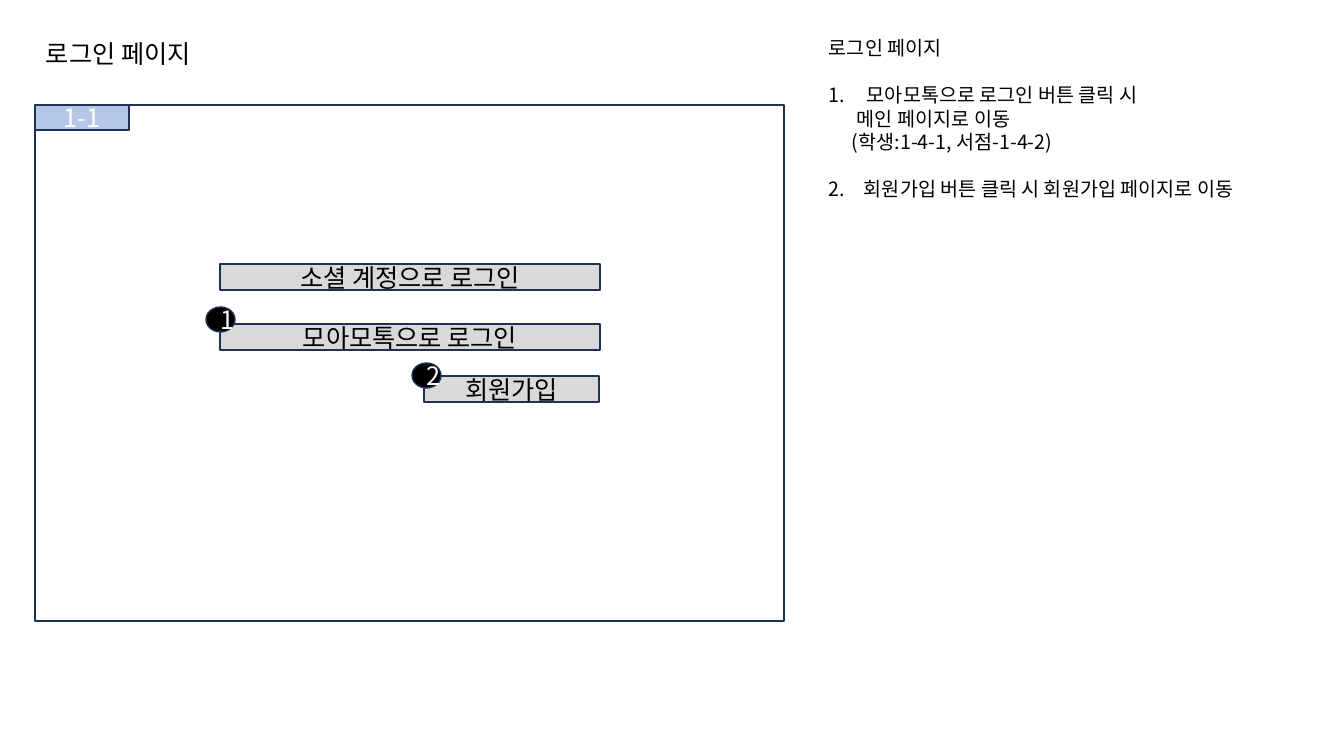
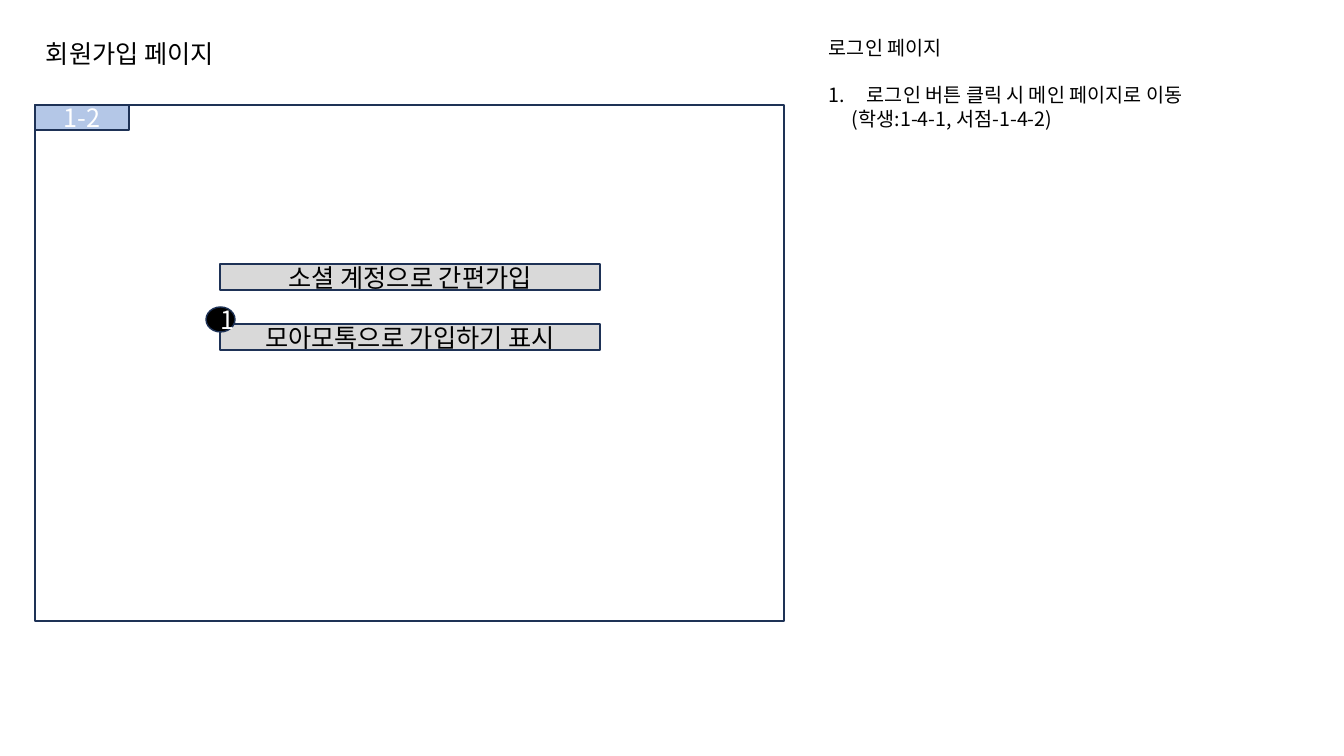
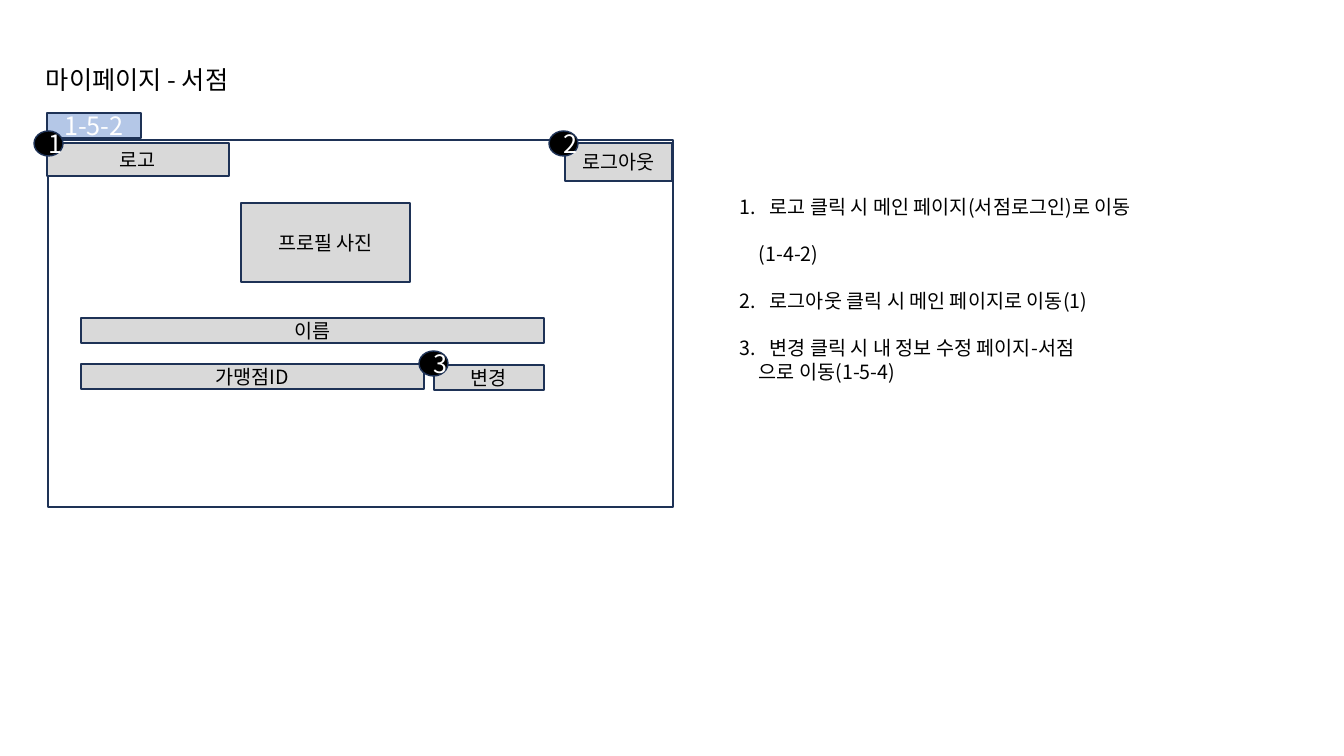
from dataclasses import dataclass

from lxml import etree
from pptx import Presentation
from pptx.dml.color import RGBColor
from pptx.enum.shapes import MSO_SHAPE
from pptx.enum.text import MSO_ANCHOR, PP_ALIGN
from pptx.oxml.ns import qn
from pptx.slide import Slide
from pptx.text.text import _Paragraph
from pptx.util import Emu, Pt

EMU_PER_PIXEL = 914400 / 100.8


@dataclass(frozen=True)
class Theme:
    font: str = "Noto Sans CJK KR"
    text: str = "000000"
    light_text: str = "FFFFFF"
    panel: str = "FFFFFF"
    tag: str = "B4C7E7"
    button: str = "D9D9D9"
    badge: str = "000000"
    outline: str = "1E3256"
    outline_width: float = 1
    large: int = 18
    small: int = 14
    leading: float = 1.2


@dataclass(frozen=True)
class Box:
    x: int
    y: int
    width: int
    height: int

    def emu(self) -> tuple[Emu, ...]:
        return tuple(px(n) for n in (self.x, self.y, self.width, self.height))


@dataclass(frozen=True)
class Button:
    label: str
    box: Box
    size: int


@dataclass(frozen=True)
class Badge:
    number: int
    x: int
    y: int


@dataclass(frozen=True)
class Line:
    text: str
    indent: int = 0
    number: int = 0
    hang: int = 0
    gap: bool = False


@dataclass(frozen=True)
class Page:
    title: str
    title_box: Box
    code: str
    frame: Box
    tag_x: int
    tag_y: int
    buttons: list[Button]
    badges: list[Badge]
    description_box: Box
    description: list[Line]


THEME = Theme()


def px(pixels: int) -> Emu:
    return Emu(round(pixels * EMU_PER_PIXEL))


def write(paragraph: _Paragraph, text: str, size: int, color: str) -> None:
    paragraph.line_spacing = Pt(size * THEME.leading)
    run = paragraph.add_run()
    run.text = text
    run.font.size = Pt(size)
    run.font.color.rgb = RGBColor.from_string(color)
    run.font.name = THEME.font
    east_asian = etree.SubElement(run._r.get_or_add_rPr(), qn("a:ea"))
    east_asian.set("typeface", THEME.font)


def draw_shape(slide: Slide, box: Box, fill: str, label: str = "",
               size: int = THEME.large, color: str = THEME.text,
               kind: MSO_SHAPE = MSO_SHAPE.RECTANGLE) -> None:
    shape = slide.shapes.add_shape(kind, *box.emu())
    shape.shadow.inherit = False
    shape.fill.solid()
    shape.fill.fore_color.rgb = RGBColor.from_string(fill)
    shape.line.color.rgb = RGBColor.from_string(THEME.outline)
    shape.line.width = Pt(THEME.outline_width)
    if label:
        shape.text_frame.vertical_anchor = MSO_ANCHOR.MIDDLE
        paragraph = shape.text_frame.paragraphs[0]
        paragraph.alignment = PP_ALIGN.CENTER
        write(paragraph, label, size, color)


def draw_lines(slide: Slide, box: Box, lines: list[Line], size: int) -> None:
    frame = slide.shapes.add_textbox(*box.emu()).text_frame
    frame.word_wrap = True
    for index, line in enumerate(lines):
        paragraph = frame.add_paragraph() if index else frame.paragraphs[0]
        write(paragraph, line.text, size, THEME.text)
        if line.gap:
            paragraph.space_before = Pt(size * THEME.leading)
        properties = paragraph._p.get_or_add_pPr()
        properties.set("marL", str(px(line.indent)))
        properties.set("indent", str(px(-line.hang)))
        if line.number:
            bullet = etree.SubElement(properties, qn("a:buAutoNum"))
            bullet.set("type", "arabicPeriod")
            bullet.set("startAt", str(line.number))


def draw_page(slide: Slide, page: Page) -> None:
    draw_shape(slide, page.frame, THEME.panel)
    draw_shape(slide, Box(page.tag_x, page.tag_y, 94, 25), THEME.tag, page.code,
               color=THEME.light_text)
    draw_lines(slide, page.description_box, page.description, THEME.small)
    draw_lines(slide, page.title_box, [Line(page.title)], THEME.large)
    for button in page.buttons:
        draw_shape(slide, button.box, THEME.button, button.label, button.size)
    for badge in page.badges:
        draw_shape(slide, Box(badge.x, badge.y, 29, 25), THEME.badge, str(badge.number),
                   color=THEME.light_text, kind=MSO_SHAPE.OVAL)


def account_page(title: str, code: str, labels: list[str], extra_buttons: list[Button],
                 extra_badges: list[Badge], description_height: int,
                 description: list[Line]) -> Page:
    rows = [Button(label, Box(220, 264 + 60 * i, 380, 26), THEME.large)
            for i, label in enumerate(labels)]
    return Page(title, Box(36, 33, 437, 40), code, Box(35, 105, 749, 516), 35, 105,
                rows + extra_buttons, [Badge(1, 206, 307)] + extra_badges,
                Box(819, 31, 512, description_height),
                [Line("로그인 페이지")] + description)


DESTINATIONS = Line("(학생:1-4-1, 서점-1-4-2)", 23)

PAGES = [
    account_page(
        "로그인 페이지", "1-1", ["소셜 계정으로 로그인", "모아모톡으로 로그인"],
        [Button("회원가입", Box(424, 376, 175, 26), THEME.large)],
        [Badge(2, 412, 363)], 176,
        [Line("모아모톡으로 로그인 버튼 클릭 시", 38, 1, 38, True),
         Line("메인 페이지로 이동", 28),
         DESTINATIONS,
         Line("회원가입 버튼 클릭 시 회원가입 페이지로 이동", 35, 2, 35, True)],
    ),
    account_page(
        "회원가입 페이지", "1-2", ["소셜 계정으로 간편가입", "모아모톡으로 가입하기 표시"],
        [], [], 129,
        [Line("로그인 버튼 클릭 시 메인 페이지로 이동", 38, 1, 38, True), DESTINATIONS],
    ),
    Page(
        "마이페이지 - 서점", Box(36, 59, 366, 40), "1-5-2", Box(48, 140, 625, 367), 47, 113,
        [Button(label, box, THEME.small) for label, box in (
            ("이름", Box(81, 318, 463, 25)),
            ("가맹점ID", Box(81, 364, 343, 25)),
            ("변경", Box(434, 365, 110, 25)),
            ("로그아웃", Box(565, 143, 107, 38)),
            ("로고", Box(47, 143, 182, 33)),
            ("프로필 사진", Box(241, 203, 169, 79)),
        )],
        [Badge(1, 34, 131), Badge(2, 549, 131), Badge(3, 419, 351)],
        Box(727, 190, 497, 224),
        [Line("로고 클릭 시 메인 페이지(서점로그인)로 이동", 33, 1, 30),
         Line("(1-4-2)", 22, gap=True),
         Line("로그아웃 클릭 시 메인 페이지로 이동(1)", 33, 2, 30, True),
         Line("변경 클릭 시 내 정보 수정 페이지-서점", 33, 3, 30, True),
         Line("으로 이동(1-5-4)", 22)],
    ),
]


def main() -> None:
    deck = Presentation()
    deck.slide_width, deck.slide_height = px(1344), px(756)
    for page in PAGES:
        draw_page(deck.slides.add_slide(deck.slide_layouts[6]), page)
    deck.save("out.pptx")


main()
